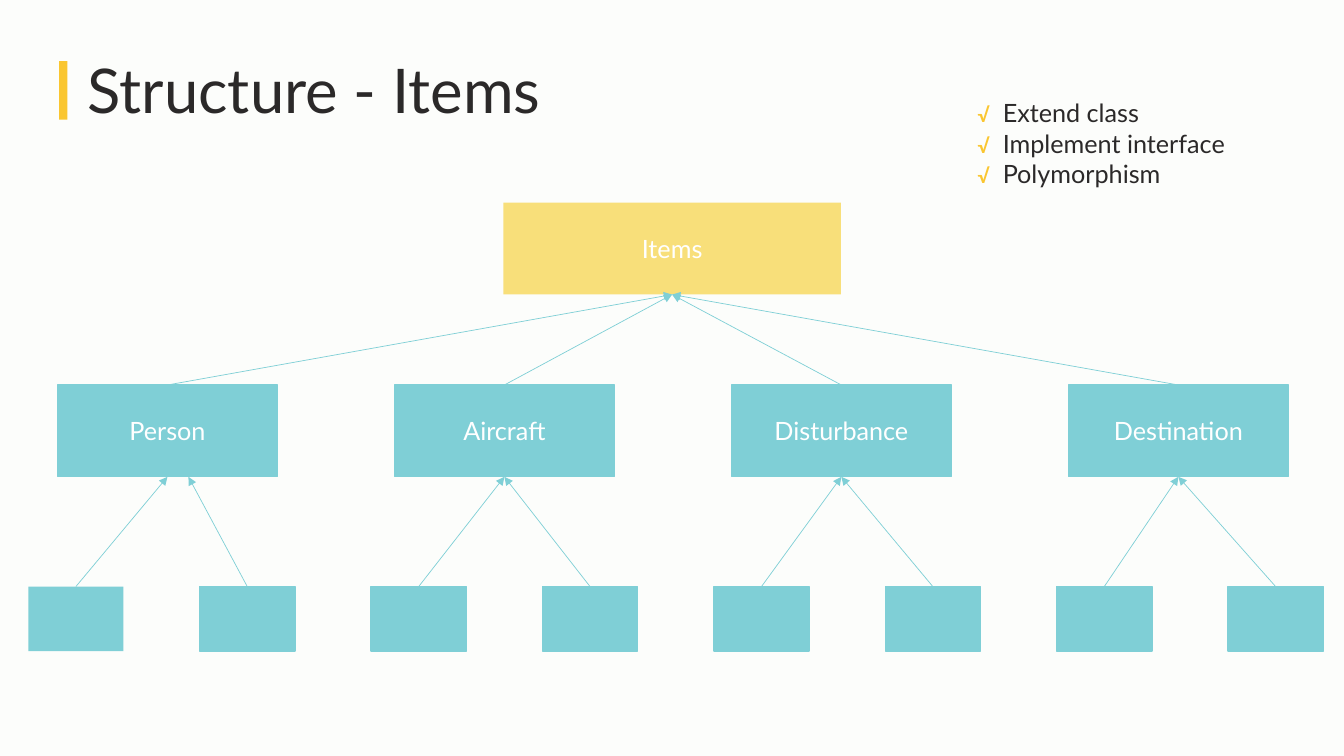
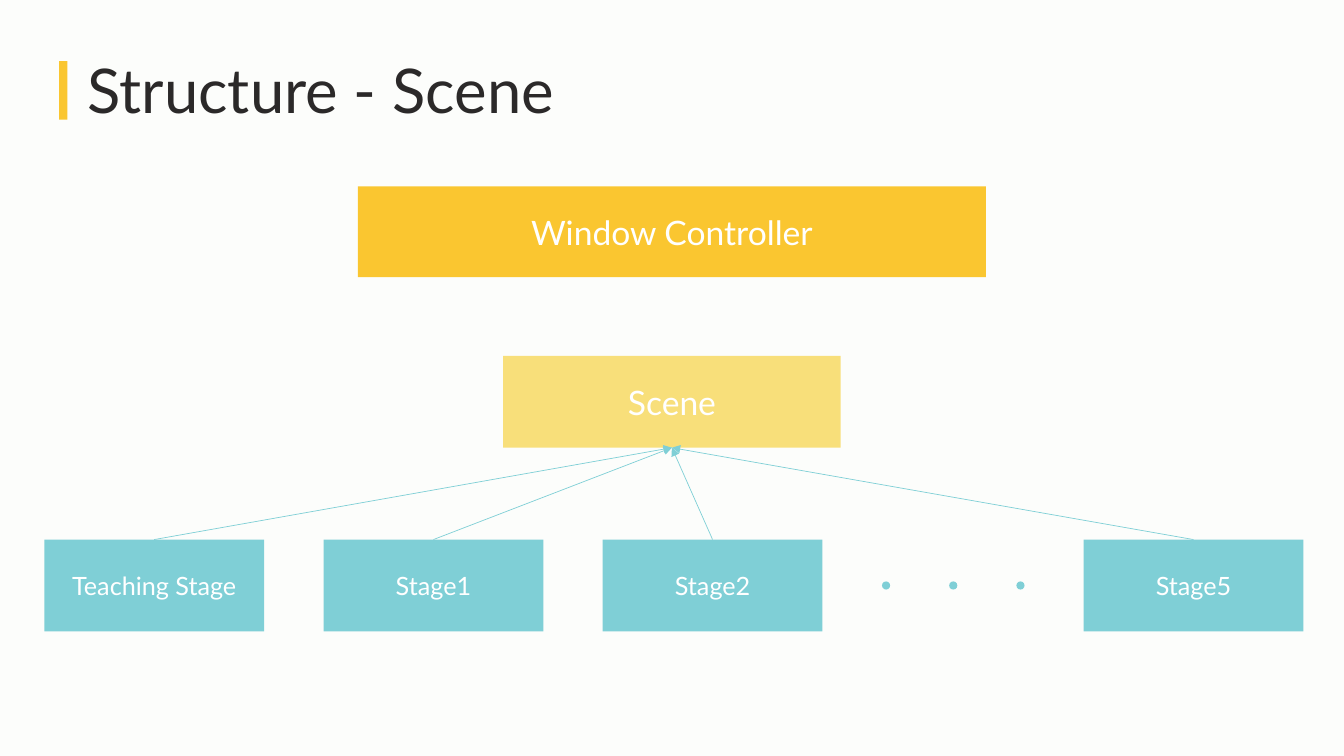
from lxml.etree import SubElement
from pptx import Presentation
from pptx.dml.color import RGBColor
from pptx.enum.shapes import MSO_CONNECTOR, MSO_SHAPE
from pptx.enum.text import MSO_ANCHOR, PP_ALIGN
from pptx.oxml.ns import qn
from pptx.util import Pt

COLORS = {
    "paper": "FCFDFB",
    "ink": "2B2929",
    "white": "FFFFFF",
    "gold": "FAC630",
    "sand": "F8DF7A",
    "teal": "7FCFD6",
}
FONT = "Lato"
ROOT_W, NODE_W, NODE_H = 241.2, 157, 65.6
TOP, BOTTOM = 0, 2  # connection sites of a rectangle


def rgb(name):
    return RGBColor.from_string(COLORS[name])


def style(r, size, color, bold=False):
    r.font.name, r.font.size, r.font.bold = FONT, Pt(size), bold
    r.font.color.rgb = rgb(color)


def block(s, x, y, w, h, color, text="", size=18, outline=False, kind=MSO_SHAPE.RECTANGLE):
    sp = s.shapes.add_shape(kind, Pt(x), Pt(y), Pt(w), Pt(h))
    sp.shadow.inherit = False
    sp.fill.solid()
    sp.fill.fore_color.rgb = rgb(color)
    if outline:
        sp.line.color.rgb = rgb(color)
        sp.line.width = Pt(1)
    else:
        sp.line.fill.background()
    if text:
        tf = sp.text_frame
        tf.text = text
        tf.vertical_anchor = MSO_ANCHOR.MIDDLE
        p = tf.paragraphs[0]
        p.alignment = PP_ALIGN.CENTER
        style(p.runs[0], size, "white")
    return sp


def arrow(s, child, parent, shift=0):
    """Arrow from the top of child to the bottom of parent, shifted off its centre."""
    x = parent.left + parent.width // 2 + Pt(shift)
    y = parent.top + parent.height
    cn = s.shapes.add_connector(MSO_CONNECTOR.STRAIGHT, child.left, child.top, x, y)
    cn.begin_connect(child, TOP)
    if not shift:
        cn.end_connect(parent, BOTTOM)
    cn.line.color.rgb = rgb("teal")
    cn.line.width = Pt(0.5)
    SubElement(cn.line._get_or_add_ln(), qn("a:tailEnd"), type="triangle")
    SubElement(cn._element.spPr, qn("a:effectLst"))


# Shared slide frame: title and accent bar
def titled_slide(prs, title):
    s = prs.slides.add_slide(prs.slide_layouts[5])
    sp = s.shapes.title
    sp.left, sp.top, sp.width, sp.height = Pt(55.5), Pt(39), Pt(425), Pt(55.5)
    tf = sp.text_frame
    tf.text = title
    tf.vertical_anchor = MSO_ANCHOR.MIDDLE
    p = tf.paragraphs[0]
    p.alignment = PP_ALIGN.LEFT
    p.line_spacing = 0.9
    style(p.runs[0], 44, "ink")
    block(s, 42.3, 43.7, 5.8, 41.8, "gold")
    return s


# Ticked list with a hanging indent
def checklist(s, x, y, w, h, items):
    tf = s.shapes.add_textbox(Pt(x), Pt(y), Pt(w), Pt(h)).text_frame
    tf.word_wrap = True
    for i, item in enumerate(items):
        p = tf.add_paragraph() if i else tf.paragraphs[0]
        pPr = p._p.get_or_add_pPr()
        pPr.set("marL", str(Pt(18)))
        pPr.set("indent", str(-Pt(18)))
        for text, size, color, bold in (("√\t", 14, "gold", True), (item, 18, "ink", False)):
            r = p.add_run()
            r.text = text
            style(r, size, color, bold)


# Three-level tree: root, named classes, two unnamed leaves under each
def item_tree(s, x, y, w, root, names):
    leaf_w, leaf_h = 68, 46.2
    leaf_step = (w - leaf_w) / (2 * len(names) - 1)
    top = block(s, x + (w - ROOT_W) / 2 - 2.6, y, ROOT_W, NODE_H, "sand", root)
    for i, name in enumerate(names):
        node = block(s, x + 20.9 + i * 240.7, y + 130.2, NODE_W, NODE_H, "teal", name, outline=True)
        arrow(s, node, top)
        for j in (2 * i, 2 * i + 1):
            leaf = block(s, x + j * leaf_step, y + 274.2, leaf_w, leaf_h, "teal", outline=j > 0)
            arrow(s, leaf, node, shift=15 if j == 1 else 0)


# Two-level tree whose last child follows an ellipsis of dots
def scene_tree(s, x, y, w, root, names):
    step, dot = 199.4, 5.8
    row_y = y + 131.2
    top = block(s, x + (w - ROOT_W) / 2 - 1.4, y, ROOT_W, NODE_H, "sand", root, 24)
    lefts = [x + i * step for i in range(len(names) - 1)] + [x + w - NODE_W]
    for left, name in zip(lefts, names):
        arrow(s, block(s, left, row_y, NODE_W, NODE_H, "teal", name), top)
    for i in range(3):
        block(s, x + 598.3 + i * 48, row_y + (NODE_H - dot) / 2, dot, dot, "teal",
              kind=MSO_SHAPE.OVAL)


def items_slide(prs):
    s = titled_slide(prs, "Structure - Items")
    item_tree(s, 20.2, 144.8, 925, "Items",
              ["Person", "Aircraft", "Disturbance", "Destination"])
    checklist(s, 691.2, 66.2, 268.6, 72.7,
              ["Extend class", "Implement interface", "Polymorphism"])


def scene_slide(prs):
    s = titled_slide(prs, "Structure - Scene")
    block(s, 255.6, 133.2, 448.6, 64.8, "gold", "Window Controller", 24)
    scene_tree(s, 31.7, 254.2, 899.3, "Scene",
               ["Teaching Stage", "Stage1", "Stage2", "Stage5"])


def main():
    prs = Presentation()
    prs.slide_width, prs.slide_height = Pt(960), Pt(540)
    fill = prs.slide_master.background.fill
    fill.solid()
    fill.fore_color.rgb = rgb("paper")
    items_slide(prs)
    scene_slide(prs)
    prs.save("out.pptx")


if __name__ == "__main__":
    main()
